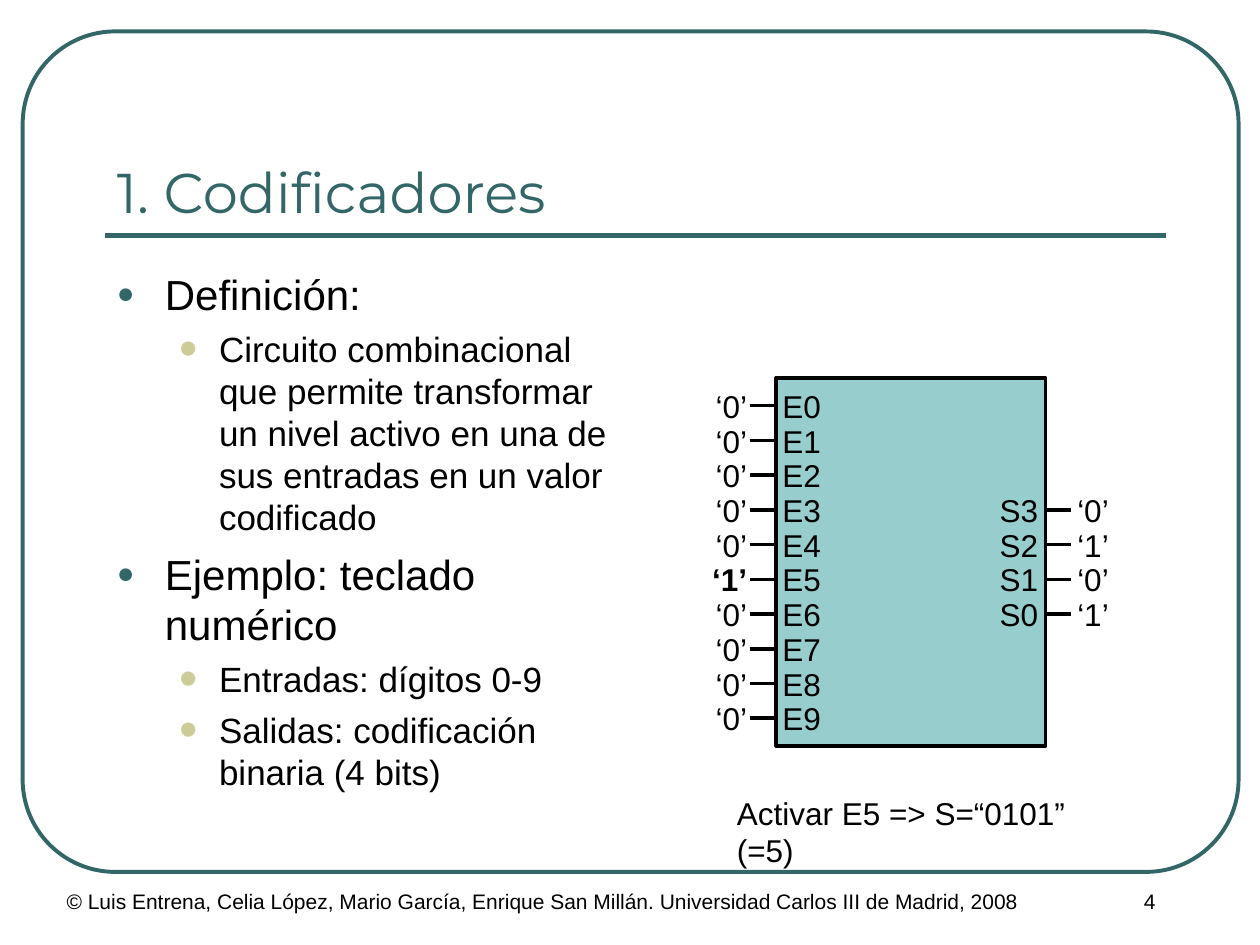
"""Build a slide that defines encoders, with a ten-input, four-output example."""
from lxml import etree
from pptx import Presentation
from pptx import util as u
from pptx.dml.color import RGBColor
from pptx.enum import shapes, text
from pptx.oxml.ns import qn

TEAL, SAND, AQUA, BLACK = "336666", "CCCC99", "97CDCC", "000000"
LEFT, CENTER, RIGHT = text.PP_ALIGN.LEFT, text.PP_ALIGN.CENTER, text.PP_ALIGN.RIGHT
TOP, MIDDLE, BOTTOM = text.MSO_ANCHOR.TOP, text.MSO_ANCHOR.MIDDLE, text.MSO_ANCHOR.BOTTOM
rgb = RGBColor.from_string

prs = Presentation()
prs.slide_width, prs.slide_height = u.Inches(10), u.Inches(7.5)
s = prs.slides.add_slide(prs.slide_layouts[6])


def add_text(content, x, y, w, h, size=18, font="Arial", color=BLACK, bold=False,
             align=LEFT, anchor=TOP, wrap=True, inset=True):
    sp = s.shapes.add_textbox(*map(u.Inches, (x, y, w, h)))
    tf = sp.text_frame
    tf.word_wrap, tf.vertical_anchor = wrap, anchor
    if not inset:
        tf.margin_left = tf.margin_right = tf.margin_top = tf.margin_bottom = 0
    tf.text = content
    for p in tf.paragraphs:
        p.alignment = align
        for r in p.runs:
            r.font.size, r.font.name, r.font.bold = u.Pt(size), font, bold
            r.font.color.rgb = rgb(color)
    return tf


def add_line(x1, x2, y, color=BLACK, width=2):
    sp = s.shapes.add_connector(shapes.MSO_CONNECTOR.STRAIGHT, *map(u.Inches, (x1, y, x2, y)))
    sp.line.color.rgb, sp.line.width = rgb(color), u.Pt(width)
    etree.SubElement(sp._element.spPr, qn("a:effectLst"))


frame = s.shapes.add_shape(shapes.MSO_SHAPE.ROUNDED_RECTANGLE,
                           *map(u.Inches, (0.18, 0.25, 9.65, 6.67)))
frame.adjustments[0] = 0.11
frame.shadow.inherit = False
frame.fill.background()
frame.line.color.rgb, frame.line.width = rgb(TEAL), u.Pt(2.25)
add_line(0.83, 9.25, 1.87, color=TEAL, width=3)

add_text("© Luis Entrena, Celia López, Mario García, Enrique San Millán. "
         "Universidad Carlos III de Madrid, 2008", 0.43, 7, 8.5, 0.5, size=12)
add_text("4", 8.25, 7, 1.75, 0.5, size=12, align=CENTER)
add_text("1. Codificadores", 0.83, 0.58, 8.42, 1.25, size=32, font="Montserrat",
         color=TEAL, anchor=BOTTOM)

outline = [
    (0, "Definición:"),
    (1, "Circuito combinacional que permite transformar un nivel activo "
        "en una de sus entradas en un valor codificado"),
    (0, "Ejemplo: teclado numérico"),
    (1, "Entradas: dígitos 0-9"),
    (1, "Salidas: codificación binaria (4 bits)"),
]
styles = [  # noqa
    dict(size=24, before=6, margin=0.38, indent=-0.38, bullet="●", color=TEAL, scale=70),
    dict(size=20, before=5, margin=0.81, indent=-0.31, bullet="•", color=SAND, scale=150),
]
body = add_text("\n".join(item for level, item in outline), 0.83, 2.08, 4.28, 4.42)
for i, (p, (level, item)) in enumerate(zip(body.paragraphs, outline)):
    style = styles[level]
    p.level = level
    p.runs[0].font.size = u.Pt(style["size"])
    if i:
        p.space_before = u.Pt(style["before"])
    pPr = p._p.get_or_add_pPr()
    pPr.set("marL", str(u.Inches(style["margin"])))
    pPr.set("indent", str(u.Inches(style["indent"])))
    etree.SubElement(etree.SubElement(pPr, qn("a:buClr")), qn("a:srgbClr"), val=style["color"])
    etree.SubElement(pPr, qn("a:buSzPct"), val=str(style["scale"] * 1000))
    etree.SubElement(pPr, qn("a:buFont"), typeface="Arial")
    etree.SubElement(pPr, qn("a:buChar"), char=style["bullet"])

encoder = s.shapes.add_shape(shapes.MSO_SHAPE.RECTANGLE, *map(u.Inches, (6.16, 3, 2.14, 2.92)))
encoder.shadow.inherit = False
encoder.fill.solid()
encoder.fill.fore_color.rgb = rgb(AQUA)
encoder.line.color.rgb, encoder.line.width = rgb(BLACK), u.Pt(2)

first_row, pitch, row_height = 3.07, 2.48 / 9, 0.3
pin = dict(anchor=MIDDLE, wrap=False, inset=False)
active = 5
for i in range(10):
    y = first_row + i * pitch
    on = i == active
    width = 0.28 if on else 0.25
    add_line(5.95, 6.16, y + row_height / 2)
    add_text(f"E{i}", 6.21, y, 0.31, row_height, **pin)
    add_text(f"‘{int(on)}’", 5.93 - width, y, width, row_height, bold=on, align=RIGHT, **pin)

for i, bit in enumerate(f"{active:04b}"):
    y = first_row + (i + 3) * pitch
    add_line(8.29, 8.5, y + row_height / 2)
    add_text(f"S{3 - i}", 7.93, y, 0.31, row_height, align=RIGHT, **pin)
    add_text(f"‘{bit}’", 8.55, y, 0.25, row_height, **pin)

add_text("Activar E5 => S=“0101” (=5)", 5.75, 6.25, 3.32, 0.4, wrap=False)

prs.save("out.pptx")
